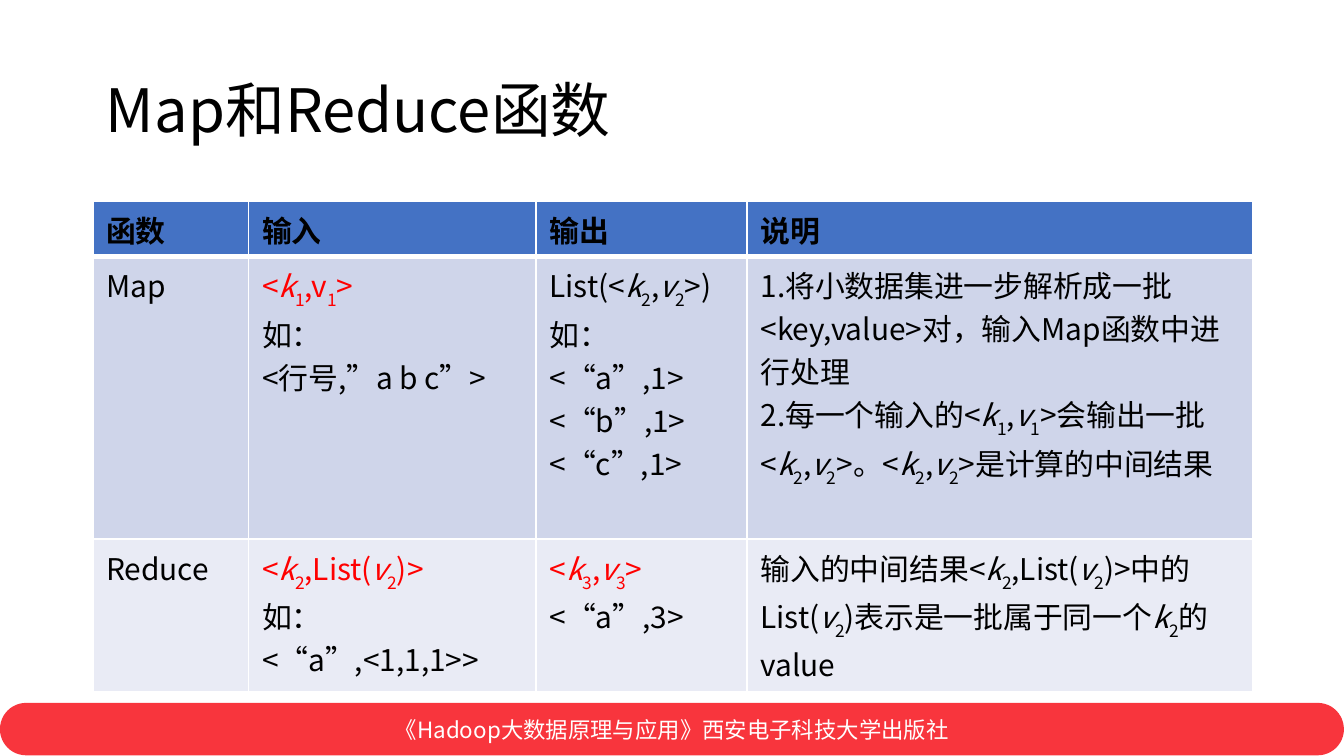
from lxml import etree
from pptx import Presentation
from pptx.dml.color import RGBColor
from pptx.enum import shapes, text
from pptx.oxml.ns import qn
from pptx.util import Inches, Pt

FONT = "Noto Sans CJK SC"
BLACK = RGBColor(0x00, 0x00, 0x00)
WHITE = RGBColor(0xFF, 0xFF, 0xFF)
RED = RGBColor(0xFF, 0x00, 0x00)
FOOTER_RED = RGBColor(0xF8, 0x35, 0x3D)
ROW_FILLS = [
    RGBColor(0x44, 0x72, 0xC4),
    RGBColor(0xCF, 0xD5, 0xEA),
    RGBColor(0xE9, 0xEB, 0xF5),
]
COL_WIDTHS = [1.16, 2.14, 1.57, 3.76]
ROW_HEIGHTS = [0.41, 2.1, 1.14]
K1V1 = "<|*k|_1|,|*v|_1|>"
K2V2 = "<|*k|_2|,|*v|_2|>"
K2LIST = "<|*k|_2|,List(|*v|_2|)>"
ROWS = [
    [["函数"], ["输入"], ["输出"], ["说明"]],
    [
        ["Map"],
        ["!<|*k|_1|,v|_1|>", "如：", "<行号,”a b c”>"],
        [f"List({K2V2})", "如：", "<“a”,1>", "<“b”,1>", "<“c”,1>"],
        [
            "1.将小数据集进一步解析成一批<key,value>对，输入Map函数中进行处理",
            f"2.每一个输入的{K1V1}会输出一批{K2V2}。{K2V2}是计算的中间结果",
        ],
    ],
    [
        ["Reduce"],
        ["!" + K2LIST, "如：<“a”,<1,1,1>>"],
        ["!<|*k|_3|,|*v|_3|>", "<“a”,3>"],
        [f"输入的中间结果{K2LIST}中的List(|*v|_2|)表示是一批属于同一个|*k|_2|的value"],
    ],
]


def write(p, markup, size, color=BLACK, bold=False):
    """Fill a paragraph; pieces split by | are italic after * and subscript after _."""
    font = p.font
    font.size, font.bold, font.name = Pt(size), bold, FONT
    font.color.rgb = color
    etree.SubElement(font._rPr, qn("a:ea")).set("typeface", FONT)
    for piece in markup.split("|"):
        r = p.add_run()
        r.text = piece.lstrip("*_")
        if piece.startswith("*"):
            r.font.italic = True
        elif piece.startswith("_"):
            r._r.get_or_add_rPr().set("baseline", "-30000")


def add_footer(s):
    """Draw the rounded band with the book credit."""
    sp = s.shapes.add_shape(
        shapes.MSO_SHAPE.ROUNDED_RECTANGLE,
        Inches(0), Inches(5.23), Inches(10), Inches(0.39))
    sp.adjustments[0] = 0.5
    sp.shadow.inherit = False
    sp.fill.solid()
    sp.fill.fore_color.rgb = FOOTER_RED
    sp.line.fill.background()
    tf = sp.text_frame
    tf.vertical_anchor = text.MSO_ANCHOR.MIDDLE
    p = tf.paragraphs[0]
    p.alignment = text.PP_ALIGN.CENTER
    write(p, "《Hadoop大数据原理与应用》西安电子科技大学出版社", 12, WHITE)


def add_title(s, title):
    """Place the slide title."""
    tf = s.shapes.add_textbox(
        Inches(0.69), Inches(0.3), Inches(8.62), Inches(1.09)).text_frame
    tf.word_wrap = True
    tf.vertical_anchor = text.MSO_ANCHOR.MIDDLE
    p = tf.paragraphs[0]
    p.line_spacing = 0.9
    write(p, title, 32)


def add_border(cell, side, width):
    """Give one side of a cell a white line."""
    ln = etree.SubElement(cell._tc.get_or_add_tcPr(), qn(f"a:{side}"))
    ln.set("w", str(Pt(width)))
    fill = etree.SubElement(ln, qn("a:solidFill"))
    etree.SubElement(fill, qn("a:srgbClr")).set("val", str(WHITE))


def fill_cell(cell, lines, fill, header):
    """Write the lines of a cell; a leading ! makes a line red."""
    if header:
        for side, width in (("lnL", 1), ("lnR", 1), ("lnT", 1), ("lnB", 3)):
            add_border(cell, side, width)
    cell.fill.solid()
    cell.fill.fore_color.rgb = fill
    tf = cell.text_frame
    for i, line in enumerate(lines):
        p = tf.add_paragraph() if i else tf.paragraphs[0]
        color = RED if line.startswith("!") else BLACK
        write(p, line.lstrip("!"), 16, color, header)


def add_function_table(s):
    """Build the table comparing the two functions."""
    table = s.shapes.add_table(
        len(ROWS), len(COL_WIDTHS), Inches(0.69), Inches(1.5),
        Inches(sum(COL_WIDTHS)), Inches(sum(ROW_HEIGHTS))).table
    for column, width in zip(table.columns, COL_WIDTHS):
        column.width = Inches(width)
    for i, (cells, fill) in enumerate(zip(ROWS, ROW_FILLS)):
        table.rows[i].height = Inches(ROW_HEIGHTS[i])
        for j, lines in enumerate(cells):
            fill_cell(table.cell(i, j), lines, fill, header=i == 0)


def main():
    """Build and save the slide."""
    prs = Presentation()
    prs.slide_width, prs.slide_height = Inches(10), Inches(10 * 9 / 16)
    s = prs.slides.add_slide(prs.slide_layouts[6])
    add_footer(s)
    add_title(s, "Map和Reduce函数")
    add_function_table(s)
    prs.save("out.pptx")


if __name__ == "__main__":
    main()
